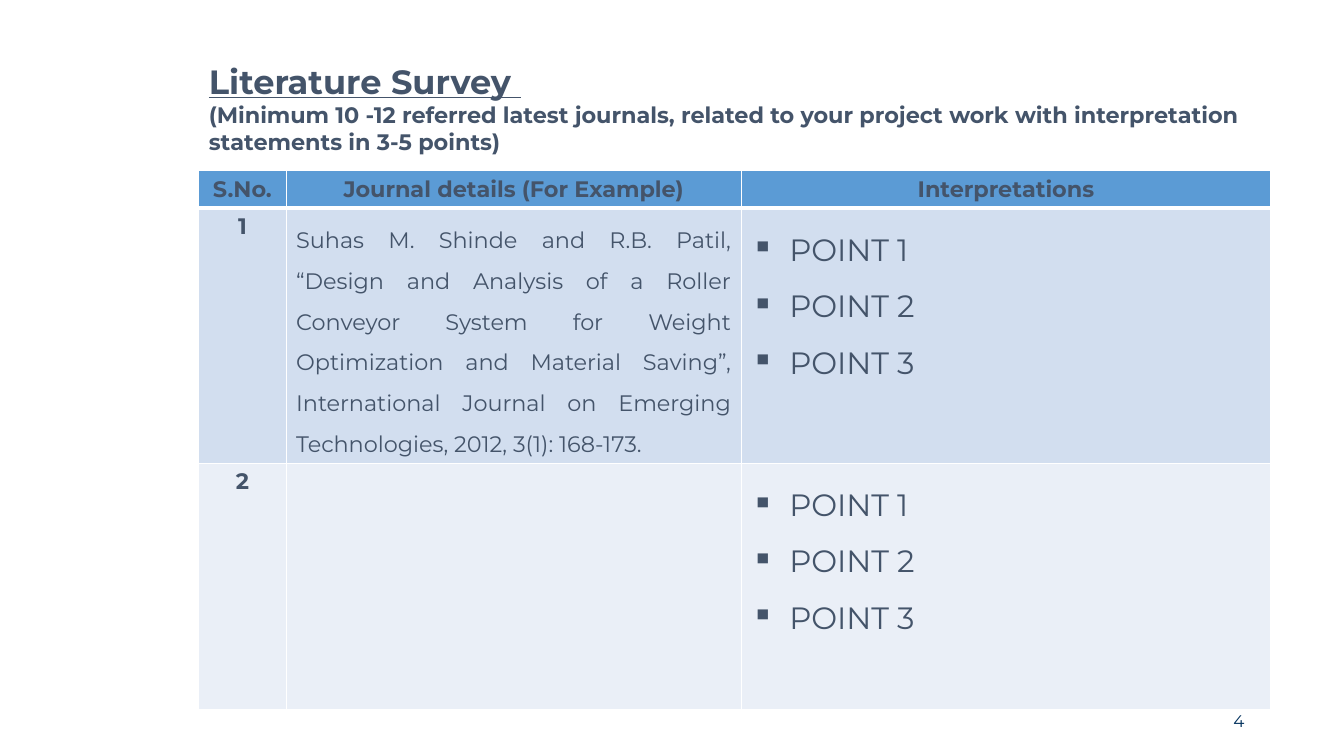
from lxml import etree
from pptx import Presentation
from pptx.dml.color import RGBColor
from pptx.enum import text as t
from pptx.oxml import ns
from pptx.util import Pt

HUES = {"slate": "44546A", "navy": "00305C", "head": "5B9BD5",
        "odd": "D2DEEF", "even": "EAEFF7", "rule": "FFFFFF"}
LEFT, MID, RIGHT, JUST = (t.PP_ALIGN.LEFT, t.PP_ALIGN.CENTER,
                          t.PP_ALIGN.RIGHT, t.PP_ALIGN.JUSTIFY)


def write(para, words, size, align=LEFT, bold=False, space=1.0, hue="slate"):
    para.alignment = align
    para.line_spacing = space
    run = para.add_run()
    run.text = words
    run.font.name = "Montserrat"
    run.font.size = Pt(size)
    run.font.bold = bold
    run.font.color.rgb = RGBColor.from_string(HUES[hue])
    return run


def rule(cell, side, width):
    props = cell._tc.get_or_add_tcPr()
    line = etree.SubElement(props, ns.qn("a:ln" + side), w=str(Pt(width)))
    fill = etree.SubElement(line, ns.qn("a:solidFill"))
    etree.SubElement(fill, ns.qn("a:srgbClr"), val=HUES["rule"])


deck = Presentation()
deck.slide_width, deck.slide_height = Pt(960), Pt(540)
slide = deck.slides.add_slide(deck.slide_layouts[5])

title = slide.shapes.title
title.left, title.top, title.width, title.height = Pt(142), Pt(10.8), Pt(754), Pt(104.4)
frame = title.text_frame
frame.word_wrap = True
frame.auto_size = t.MSO_AUTO_SIZE.NONE
frame.vertical_anchor = t.MSO_ANCHOR.TOP
write(frame.paragraphs[0], "Literature Survey ", 24, bold=True, space=2.0).font.underline = True
write(frame.add_paragraph(), "(Minimum 10 -12 referred latest journals, related to your "
      "project work with interpretation statements in 3-5 points)", 16, bold=True)

paper = ("Suhas M. Shinde and R.B. Patil, “Design and Analysis of a Roller Conveyor "
         "System for Weight Optimization and Material Saving”, International Journal "
         "on Emerging Technologies, 2012, 3(1): 168-173.")
points = ["POINT 1", "POINT 2", "POINT 3"]
rows = [["S.No.", "Journal details (For Example)", "Interpretations"],
        ["1", paper, points],
        ["2", "", points]]
widths = [62.4, 325.2, 378]
heights = [26.5, 180, 176]
fills = ["head", "odd", "even"]

table = slide.shapes.add_table(3, 3, Pt(142), Pt(122), Pt(sum(widths)), Pt(sum(heights))).table
for col, width in zip(table.columns, widths):
    col.width = Pt(width)
for row, height in zip(table.rows, heights):
    row.height = Pt(height)

for r, row in enumerate(rows):
    for c, value in enumerate(row):
        cell = table.cell(r, c)
        for side in "LRTB":
            thick = (r, side) in [(0, "B"), (1, "T")]
            rule(cell, side, 3 if thick else 1)
        cell.fill.solid()
        cell.fill.fore_color.rgb = RGBColor.from_string(HUES[fills[r]])
        body = cell.text_frame
        if value is points:
            for n, point in enumerate(points):
                para = body.add_paragraph() if n else body.paragraphs[0]
                write(para, point, 22, space=1.5)
                props = para._p.get_or_add_pPr()
                props.set("marL", str(Pt(27)))
                props.set("indent", str(Pt(-27)))
                etree.SubElement(props, ns.qn("a:buChar"), char="▪")
        elif value == paper:
            write(body.paragraphs[0], value, 16, JUST, space=1.5)
        elif value:
            write(body.paragraphs[0], value, 16, MID, bold=True)

page = slide.shapes.add_textbox(Pt(680), Pt(500.4), Pt(216), Pt(28.8)).text_frame
page.word_wrap = True
page.vertical_anchor = t.MSO_ANCHOR.MIDDLE
write(page.paragraphs[0], "4", 12, RIGHT, hue="navy")

deck.save("out.pptx")
